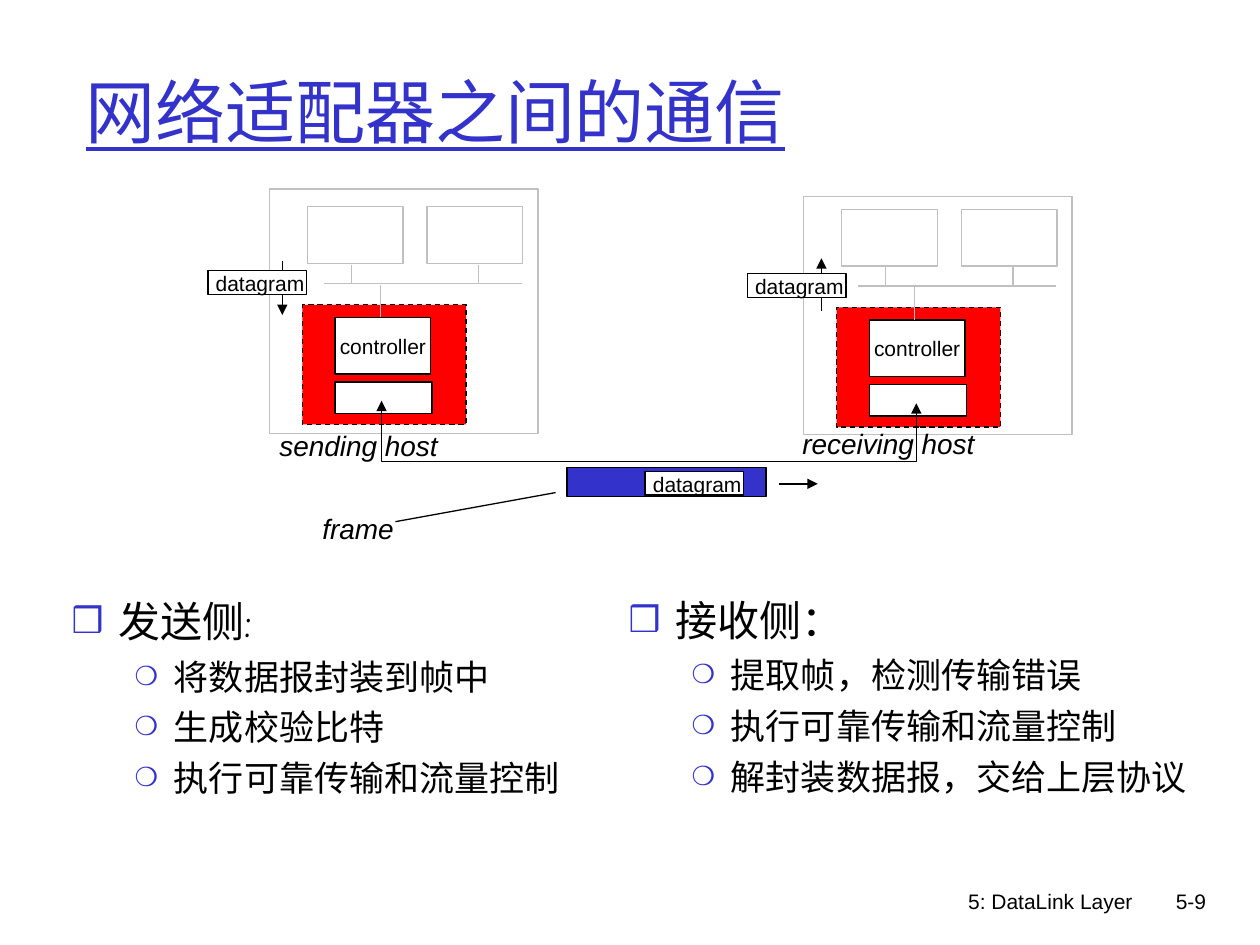
import lxml.etree
import pptx
import pptx.dml.color
import pptx.enum.dml
import pptx.enum.shapes
import pptx.enum.text
import pptx.oxml
import pptx.oxml.ns
import pptx.util

Pt = pptx.util.Pt
qn = pptx.oxml.ns.qn
ALIGN = pptx.enum.text.PP_ALIGN
ANCHOR = pptx.enum.text.MSO_ANCHOR
BLACK, WHITE, GREY, BLUE, RED = "000000", "FFFFFF", "C0C0C0", "3333CC", "FF0000"


def paint(fill, colour):
    fill.solid()
    fill.fore_color.rgb = pptx.dml.color.RGBColor.from_string(colour)


def write(para, text, size=12, font="Arial", colour=BLACK, italic=None,
          underline=None, align=ALIGN.LEFT):
    para.alignment = align
    span = para.add_run()
    span.text = text
    span.font.size = Pt(size)
    span.font.name = font
    span.font.italic = italic
    span.font.underline = underline
    paint(span.font.fill, colour)


deck = pptx.Presentation()
deck.slide_width, deck.slide_height = Pt(720), Pt(540)
page = deck.slides.add_slide(deck.slide_layouts[6])

items = [("rect", 324, 267, 113.8, 16.6, BLUE, BLACK, "")]
hosts = [(0, 0, 108, 139.7), (305.3, 1.5, 112.3, 136.1)]
for dx, dy, top, height in hosts:
    items += [
        ("rect", 154 + dx, top, 153.4, height, WHITE, GREY, ""),
        ("rect", 172.8 + dx, 174.2 + dy, 93.6, 68.4, RED, BLACK, "dash"),
        ("rect", 191.5 + dx, 218.2 + dy, 55.4, 18, WHITE, BLACK, ""),
        ("rect", 191.5 + dx, 181.4 + dy, 54.7, 32.4, WHITE, BLACK, "controller"),
        ("line", 185 + dx, 162 + dy, 298.1 + dx, 162 + dy, GREY, ""),
        ("line", 217.4 + dx, 181.4 + dy, 217.4 + dx, 162.7 + dy, GREY, ""),
    ]
    for monitor, stem in [(175.7, 200.9), (244.1, 273.6)]:
        items += [
            ("rect", monitor + dx, 118.1 + dy, 54.7, 32.4, WHITE, GREY, ""),
            ("line", stem + dx, 162 + dy, stem + dx, 151.2 + dy, GREY, ""),
        ]

items += [
    ("line", 161.3, 149, 161.3, 180, BLACK, "tailEnd"),
    ("line", 469.4, 147.6, 469.4, 177.8, BLACK, "headEnd"),
    ("line", 445, 276.5, 467.3, 276.5, BLACK, "tailEnd"),
    ("line", 226, 298.1, 317.5, 281.5, BLACK, ""),
]
datagrams = [(118.8, 154.8), (427, 156.4), (368.6, 269.4)]
items += [("rect", x, y, 56.5, 13.5, WHITE, BLACK, "") for x, y in datagrams]

for kind, x, y, a, b, *style in items:
    if kind == "line":
        colour, arrow = style
        line = page.shapes.add_connector(
            pptx.enum.shapes.MSO_CONNECTOR.STRAIGHT, Pt(x), Pt(y), Pt(a), Pt(b))
        paint(line.line.fill, colour)
        line.line.width = Pt(0.75)
        if arrow:
            lxml.etree.SubElement(line.line._get_or_add_ln(), qn("a:" + arrow), type="triangle")
        lxml.etree.SubElement(line._element.spPr, qn("a:effectLst"))
        continue
    fill, outline, note = style
    box = page.shapes.add_shape(
        pptx.enum.shapes.MSO_SHAPE.RECTANGLE, Pt(x), Pt(y), Pt(a), Pt(b))
    box.shadow.inherit = False
    paint(box.fill, fill)
    paint(box.line.fill, outline)
    box.line.width = Pt(0.75)
    if note == "dash":
        box.line.dash_style = pptx.enum.dml.MSO_LINE.DASH
    elif note:
        box.text_frame.word_wrap = False
        box.text_frame.vertical_anchor = ANCHOR.MIDDLE
        write(box.text_frame.paragraphs[0], note, align=ALIGN.CENTER)

builder = page.shapes.build_freeform(Pt(218), Pt(229), scale=1.0)
builder.add_line_segments(
    [(Pt(218), Pt(263.7)), (Pt(523.6), Pt(263.7)), (Pt(523.6), Pt(230.5))], close=False)
link = builder.convert_to_shape()
link.shadow.inherit = False
link.fill.background()
paint(link.line.fill, BLACK)
link.line.width = Pt(0.75)
for arrow in ("headEnd", "tailEnd"):
    lxml.etree.SubElement(link.line._get_or_add_ln(), qn("a:" + arrow), type="triangle")

labels = [("datagram", x - 2.6, y - 3.6, 64.8, 21.8, 12, None) for x, y in datagrams]
labels += [
    ("sending host", 152.6, 241.2, 104.4, 26.6, 16, True),
    ("receiving host", 451.4, 240.5, 113, 26.6, 16, True),
    ("frame", 177.1, 288.7, 54.7, 26.6, 16, True),
]
for text, x, y, width, height, size, italic in labels:
    box = page.shapes.add_textbox(Pt(x), Pt(y), Pt(width), Pt(height))
    box.text_frame.word_wrap = False
    box.text_frame.margin_right = 0
    box.text_frame.auto_size = pptx.enum.text.MSO_AUTO_SIZE.SHAPE_TO_FIT_TEXT
    write(box.text_frame.paragraphs[0], text, size=size, italic=italic)

title = page.shapes.add_textbox(Pt(41.8), Pt(18), Pt(612), Pt(90))
title.text_frame.word_wrap = True
title.text_frame.vertical_anchor = ANCHOR.MIDDLE
write(title.text_frame.paragraphs[0], "网络适配器之间的通信",
      size=40, font="Comic Neue", colour=BLUE, underline=True)

columns = [
    (33.8, 337, 320.4, 152.6,
     ["发送侧:", "将数据报封装到帧中", "生成校验比特", "执行可靠传输和流量控制"]),
    (352.1, 336.2, 335.5, 145.4,
     ["接收侧：", "提取帧，检测传输错误", "执行可靠传输和流量控制", "解封装数据报，交给上层协议"]),
]
for x, y, width, height, lines in columns:
    box = page.shapes.add_textbox(Pt(x), Pt(y), Pt(width), Pt(height))
    frame = box.text_frame
    frame.word_wrap = True
    for index, text in enumerate(lines):
        para = frame.add_paragraph() if index else frame.paragraphs[0]
        if index:
            para.level = 1
            para.space_before = Pt(5)
            margin, indent, size, bullet, scale = 58.5, 22.5, 20, "❍", "75000"
        else:
            margin, indent, size, bullet, scale = 27, 27, 24, "❒", "85000"
        props = para._p.get_or_add_pPr()
        props.set("marL", str(Pt(margin)))
        props.set("indent", str(-Pt(indent)))
        tint = lxml.etree.SubElement(props, qn("a:buClr"))
        lxml.etree.SubElement(tint, qn("a:srgbClr"), val=BLUE)
        lxml.etree.SubElement(props, qn("a:buSzPct"), val=scale)
        lxml.etree.SubElement(props, qn("a:buFont"), typeface="Arial")
        lxml.etree.SubElement(props, qn("a:buChar"), char=bullet)
        write(para, text, size=size, font="Comic Neue")

for text, x, width in [("5: DataLink Layer", 426.2, 228.2), ("5-9", 643, 53.3)]:
    box = page.shapes.add_textbox(Pt(x), Pt(504), Pt(width), Pt(36))
    box.text_frame.word_wrap = True
    write(box.text_frame.paragraphs[0], text, align=ALIGN.RIGHT)

deck.save("out.pptx")
